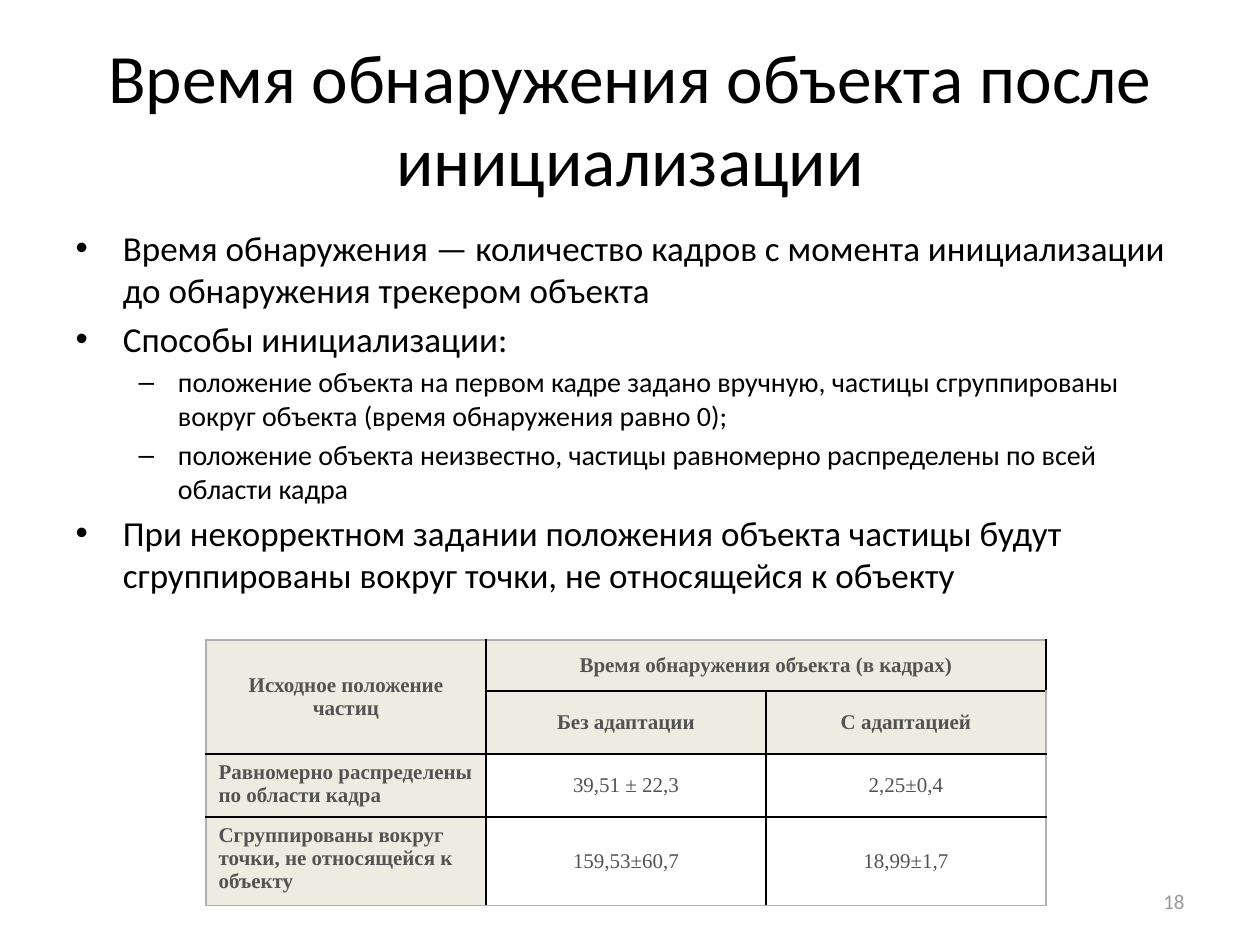
from dataclasses import dataclass
from typing import NamedTuple

from lxml import etree
from pptx import Presentation
from pptx import util as u
from pptx.dml.color import RGBColor
from pptx.enum import text
from pptx.oxml import ns

PX_PER_INCH = 126


@dataclass(frozen=True)
class Theme:
    ink: str = "000000"
    table_ink: str = "535353"
    muted: str = "999999"
    header_fill: str = "EEECE1"
    inner_line: str = "000000"
    outer_line: str = "B0B0B0"
    font: str = "Calibri"
    table_font: str = "Times New Roman"
    title_size: float = 39.6
    level_sizes: tuple[int, ...] = (20, 16)
    small_size: int = 12


class Box(NamedTuple):
    left: int
    top: int
    width: int
    height: int


class Bullet(NamedTuple):
    level: int
    words: str


class TableCell(NamedTuple):
    row: int
    column: int
    words: str
    header: bool = False
    row_label: bool = False
    row_span: int = 1
    column_span: int = 1


THEME = Theme()
TITLE_BOX = Box(63, 38, 1134, 158)
BODY_BOX = Box(63, 220, 1134, 624)
NUMBER_BOX = Box(903, 876, 294, 50)
TABLE_LEFT, TABLE_TOP = 206, 640
COLUMN_WIDTHS = (280, 280, 280)
ROW_HEIGHTS = (51, 59, 59, 83)

BULLETS = (
    Bullet(0, "Время обнаружения — количество кадров с момента инициализации до обнаружения трекером объекта"),
    Bullet(0, "Способы инициализации:"),
    Bullet(1, "положение объекта на первом кадре задано вручную, частицы сгруппированы "
              "вокруг объекта (время обнаружения равно 0);"),
    Bullet(1, "положение объекта неизвестно, частицы равномерно распределены по всей области кадра"),
    Bullet(0, "При некорректном задании положения объекта частицы будут "
              "сгруппированы вокруг точки, не относящейся к объекту"),
)
CELLS = (
    TableCell(0, 0, "Исходное положение частиц", header=True, row_span=2),
    TableCell(0, 1, "Время обнаружения объекта (в кадрах)", header=True, column_span=2),
    TableCell(1, 1, "Без адаптации", header=True),
    TableCell(1, 2, "С адаптацией", header=True),
    TableCell(2, 0, "Равномерно распределены по области кадра", header=True, row_label=True),
    TableCell(2, 1, "39,51 ± 22,3"),
    TableCell(2, 2, "2,25±0,4"),
    TableCell(3, 0, "Сгруппированы вокруг точки, не относящейся к объекту", header=True, row_label=True),
    TableCell(3, 1, "159,53±60,7"),
    TableCell(3, 2, "18,99±1,7"),
)


def px(length: int) -> u.Emu:
    return u.Emu(round(length * u.Inches(1) / PX_PER_INCH))


def place(shape, box: Box) -> None:
    shape.left, shape.top, shape.width, shape.height = map(px, box)


def add_run(paragraph, words: str, size: float, color: str, font: str, bold: bool = False) -> None:
    run = paragraph.add_run()
    run.text = words
    run.font.size = u.Pt(size)
    run.font.name = font
    run.font.bold = bold
    run.font.color.rgb = RGBColor.from_string(color)


def fill_title(shape, words: str) -> None:
    place(shape, TITLE_BOX)
    frame = shape.text_frame
    frame.auto_size = text.MSO_AUTO_SIZE.NONE
    frame.vertical_anchor = text.MSO_ANCHOR.MIDDLE
    paragraph = frame.paragraphs[0]
    paragraph.alignment = text.PP_ALIGN.CENTER
    add_run(paragraph, words, THEME.title_size, THEME.ink, THEME.font)


def fill_body(shape, bullets: tuple[Bullet, ...]) -> None:
    place(shape, BODY_BOX)
    frame = shape.text_frame
    frame.auto_size = text.MSO_AUTO_SIZE.NONE
    for index, bullet in enumerate(bullets):
        paragraph = frame.add_paragraph() if index else frame.paragraphs[0]
        paragraph.level = bullet.level
        add_run(paragraph, bullet.words, THEME.level_sizes[bullet.level], THEME.ink, THEME.font)


def add_slide_number(slide, words: str) -> None:
    frame = slide.shapes.add_textbox(*map(px, NUMBER_BOX)).text_frame
    frame.word_wrap = True
    frame.vertical_anchor = text.MSO_ANCHOR.MIDDLE
    paragraph = frame.paragraphs[0]
    paragraph.alignment = text.PP_ALIGN.RIGHT
    add_run(paragraph, words, THEME.small_size, THEME.muted, THEME.font)


def set_borders(cell, row: int, column: int) -> None:
    """Draw grey lines on the table's rim and black lines inside it."""
    on_rim = {
        "lnL": column == 0,
        "lnR": column == len(COLUMN_WIDTHS) - 1,
        "lnT": row == 0,
        "lnB": row == len(ROW_HEIGHTS) - 1,
    }
    properties = cell._tc.get_or_add_tcPr()
    for index, (tag, rim) in enumerate(on_rim.items()):
        line = etree.Element(ns.qn(f"a:{tag}"), w=str(u.Pt(1)))
        fill = etree.SubElement(line, ns.qn("a:solidFill"))
        color = THEME.outer_line if rim else THEME.inner_line
        etree.SubElement(fill, ns.qn("a:srgbClr"), val=color)
        properties.insert(index, line)


def fill_cell(table, item: TableCell) -> None:
    cell = table.cell(item.row, item.column)
    if item.row_span > 1 or item.column_span > 1:
        cell.merge(table.cell(item.row + item.row_span - 1, item.column + item.column_span - 1))
    if item.header:
        cell.fill.solid()
        cell.fill.fore_color.rgb = RGBColor.from_string(THEME.header_fill)
    paragraph = cell.text_frame.paragraphs[0]
    if item.row_label:
        cell.vertical_anchor = text.MSO_ANCHOR.TOP
        paragraph.alignment = text.PP_ALIGN.LEFT
    else:
        cell.vertical_anchor = text.MSO_ANCHOR.MIDDLE
        paragraph.alignment = text.PP_ALIGN.CENTER
    add_run(paragraph, item.words, THEME.small_size, THEME.table_ink, THEME.table_font, item.header)


def add_results_table(slide, cells: tuple[TableCell, ...]) -> None:
    box = Box(TABLE_LEFT, TABLE_TOP, sum(COLUMN_WIDTHS), sum(ROW_HEIGHTS))
    table = slide.shapes.add_table(len(ROW_HEIGHTS), len(COLUMN_WIDTHS), *map(px, box)).table
    table.first_row = table.horz_banding = False
    for column, width in zip(table.columns, COLUMN_WIDTHS):
        column.width = px(width)
    for row_index, height in enumerate(ROW_HEIGHTS):
        table.rows[row_index].height = px(height)
        for column_index in range(len(COLUMN_WIDTHS)):
            cell = table.cell(row_index, column_index)
            cell.fill.background()
            set_borders(cell, row_index, column_index)
    for item in cells:
        fill_cell(table, item)


def main() -> None:
    presentation = Presentation()
    presentation.slide_width, presentation.slide_height = px(1260), px(945)
    slide = presentation.slides.add_slide(presentation.slide_layouts[1])
    fill_title(slide.shapes.title, "Время обнаружения объекта после инициализации")
    fill_body(slide.placeholders[1], BULLETS)
    add_slide_number(slide, "18")
    add_results_table(slide, CELLS)
    presentation.save("out.pptx")


if __name__ == "__main__":
    main()
